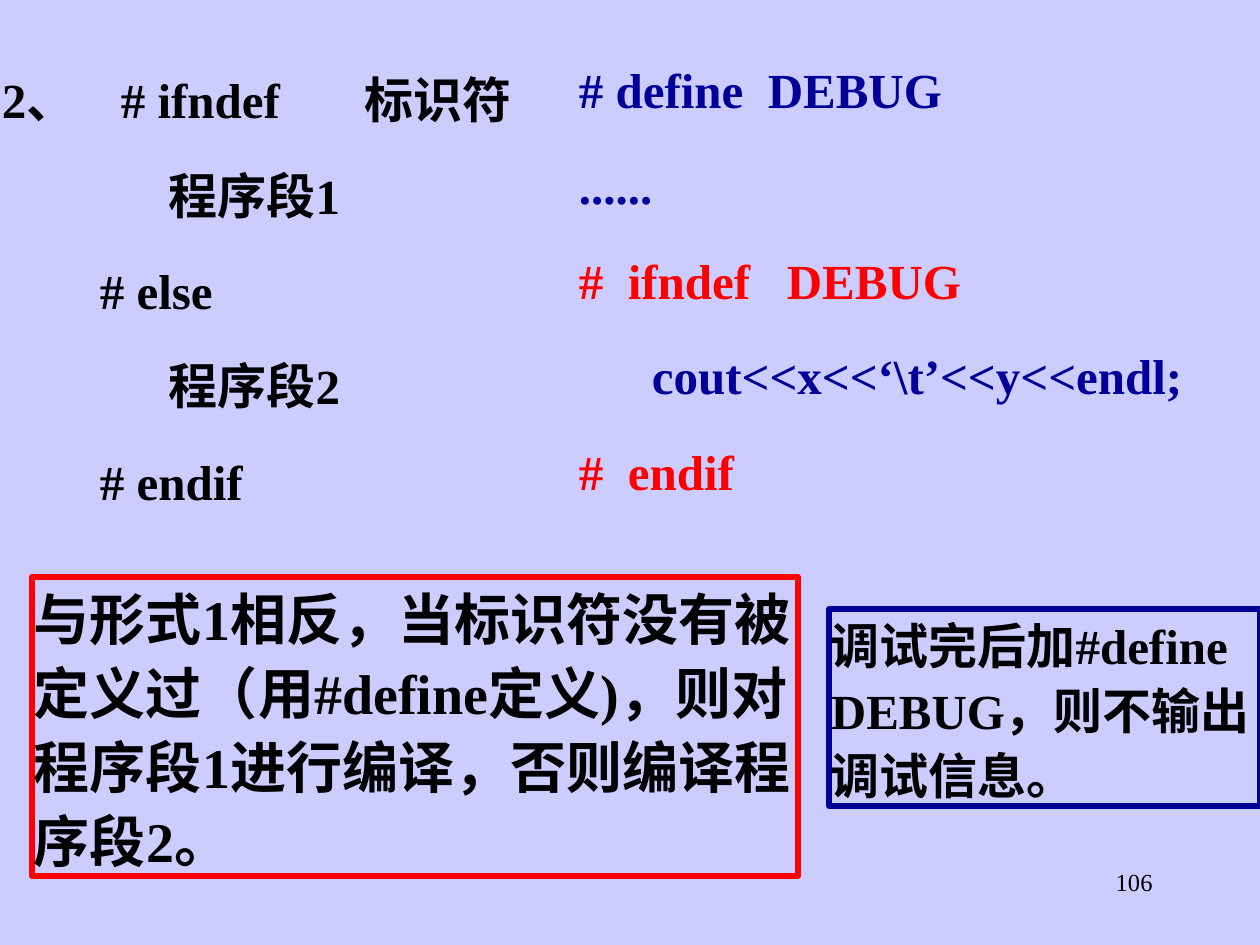
import pptx
import pptx.util
import pptx.dml.color
import pptx.enum.shapes
import pptx.enum.text
import pptx.oxml
import pptx.oxml.ns

BLACK, NAVY, RED = "000000", "000099", "FF0000"
FONT = "Times New Roman"
TABS = (119, 363)

SYNTAX = [
    ("2、\t# ifndef\t标识符", 0, BLACK),
    ("程序段1", 167, BLACK),
    ("# else", 98, BLACK),
    ("程序段2", 167, BLACK),
    ("# endif", 98, BLACK),
]
EXAMPLE = [
    ("# define  DEBUG", 0, NAVY),
    ("......", 0, NAVY),
    ("#  ifndef   DEBUG", 0, RED),
    ("cout<<x<<‘\\t’<<y<<endl;", 73, NAVY),
    ("#  endif", 0, RED),
]
RULE = [("与形式1相反，当标识符没有被定义过（用#define定义)，"
         "则对程序段1进行编译，否则编译程序段2。", 0, BLACK)]
TIP = [("调试完后加#define  DEBUG，则不输出调试信息。", 0, BLACK)]

BLOCKS = [
    (SYNTAX, (0, 63, 567, 449), 28, None),
    (RULE, (32, 577, 766, 299), 32, (RED, 3.25)),
    (EXAMPLE, (577, 53, 640, 449), 28, None),
    (TIP, (829, 609, 431, 197), 28, (NAVY, 3)),
]
NUMBER = ("106", (903, 861, 262, 63))


def px(n):
    return pptx.util.Emu(round(n * 914400 / 126))


def rgb(color):
    return pptx.dml.color.RGBColor.from_string(color)


def set_font(p, size, color, bold):
    p.font.name = FONT
    p.font.size = pptx.util.Pt(size)
    p.font.bold = bold
    p.font.color.rgb = rgb(color)


def add_tabs(p):
    pPr = p._p.get_or_add_pPr()
    tabs = pptx.oxml.parse_xml("<a:tabLst %s/>" % pptx.oxml.ns.nsdecls("a"))
    for pos in TABS:
        tab = tabs.makeelement(pptx.oxml.ns.qn("a:tab"), {"pos": str(px(pos)), "algn": "l"})
        tabs.append(tab)
    pPr.find(pptx.oxml.ns.qn("a:defRPr")).addprevious(tabs)


def add_block(s, lines, box, size, border):
    box = [px(n) for n in box]
    if border:
        sp = s.shapes.add_shape(pptx.enum.shapes.MSO_SHAPE.RECTANGLE, *box)
        sp.shadow.inherit = False
        sp.fill.background()
        sp.line.color.rgb = rgb(border[0])
        sp.line.width = pptx.util.Pt(border[1])
    else:
        sp = s.shapes.add_textbox(*box)
    tf = sp.text_frame
    tf.word_wrap = True
    tf.auto_size = pptx.enum.text.MSO_AUTO_SIZE.SHAPE_TO_FIT_TEXT
    tf.vertical_anchor = pptx.enum.text.MSO_ANCHOR.TOP
    tf.margin_left = tf.margin_right = px(2)
    tf.margin_top = tf.margin_bottom = px(1)
    for i, (text, indent, color) in enumerate(lines):
        p = tf.add_paragraph() if i else tf.paragraphs[0]
        p.add_run().text = text
        p.alignment = pptx.enum.text.PP_ALIGN.LEFT
        p.line_spacing = 1.1
        p.space_before = pptx.util.Pt(size * 0.625)
        set_font(p, size, color, True)
        if indent:
            p._p.get_or_add_pPr().set("marL", str(px(indent)))
        if "\t" in text:
            add_tabs(p)


def main():
    prs = pptx.Presentation()
    prs.slide_width, prs.slide_height = px(1260), px(945)
    s = prs.slides.add_slide(prs.slide_layouts[6])
    s.background.fill.solid()
    s.background.fill.fore_color.rgb = rgb("CCCCFF")

    text, box = NUMBER
    tf = s.shapes.add_textbox(*[px(n) for n in box]).text_frame
    tf.word_wrap = True
    p = tf.paragraphs[0]
    p.add_run().text = text
    p.alignment = pptx.enum.text.PP_ALIGN.RIGHT
    set_font(p, 14, BLACK, False)

    for block in BLOCKS:
        add_block(s, *block)
    prs.save("out.pptx")


if __name__ == "__main__":
    main()
